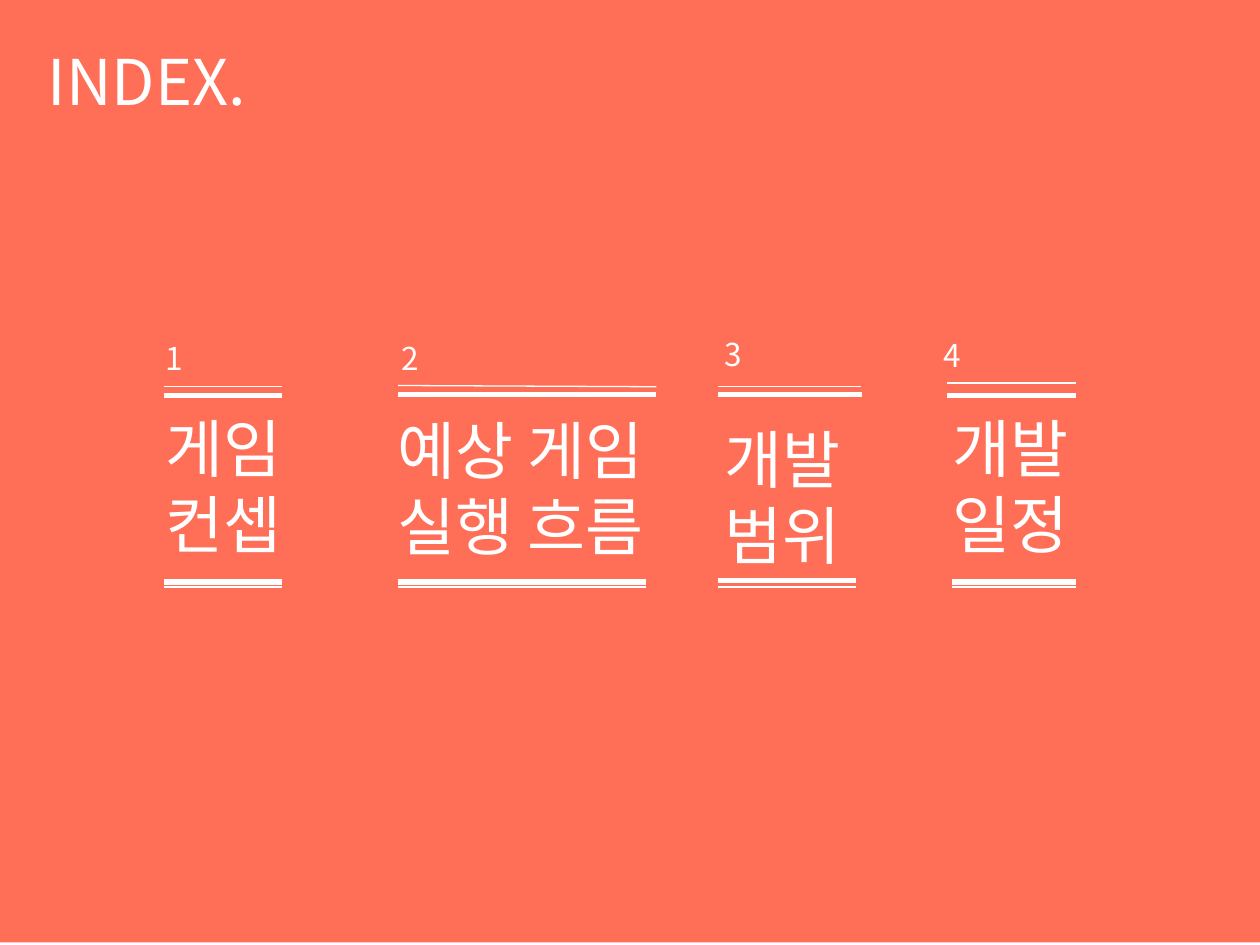
from lxml import etree
from pptx import Presentation
from pptx.dml.color import RGBColor
from pptx.enum.shapes import MSO_CONNECTOR, MSO_SHAPE
from pptx.enum.text import MSO_ANCHOR, MSO_AUTO_SIZE, PP_ALIGN
from pptx.oxml.ns import qn
from pptx.util import Pt

RECT = MSO_SHAPE.RECTANGLE
LINE = MSO_CONNECTOR.STRAIGHT
CORAL = RGBColor(0xFF, 0x6E, 0x57)
WHITE = RGBColor(0xFF, 0xFF, 0xFF)
FACE = "Noto Sans CJK KR"
FRAME = {"word_wrap": True, "auto_size": MSO_AUTO_SIZE.SHAPE_TO_FIT_TEXT,
         "vertical_anchor": MSO_ANCHOR.TOP}
THIN, THICK = 0.75, 3

ITEMS = [
    {"text": "게임\n컨셉", "box": (93.6, 188, 67.7, 147.5),
     "num": (-5.8, 2.1), "body": (-5.8, 42.4, 90.7),
     "rules": [(0, 33, 67.7, 33, THIN), (0, 38.1, 67.7, 38.1, THICK),
               (0, 144.6, 67.7, 144.6, THICK)]},
    {"text": "예상 게임 실행 흐름", "box": (227.5, 188, 141.9, 147.5),
     "num": (-5, 2.1), "body": (-7.2, 43.8, 167),
     "rules": [(0, 32.3, 147.6, 33, THIN), (0, 37.4, 147.6, 37.4, THICK),
               (0, 144.6, 141.9, 144.6, THICK)]},
    {"text": "개발\n범위", "box": (410.4, 188, 78.5, 147.5),
     "num": (-3.6, 0), "body": (-3.6, 48.9, 87.8),
     "rules": [(0, 33, 81.4, 33, THIN), (0, 37.4, 82.1, 37.4, THICK),
               (0, 143.9, 78.5, 143.9, THICK)]},
    {"text": "개발\n일정", "box": (544.3, 188, 70.6, 147.5),
     "num": (-12.2, 0.6), "body": (-7.2, 42.4, 90.7),
     "rules": [(-2.9, 30.9, 70.6, 30.9, THIN),
               (-2.9, 38.1, 70.6, 38.1, THICK),
               (0, 144.6, 70.6, 144.6, THICK)]},
]


def place(shape, box):
    for name, size in zip(("left", "top", "width", "height"), box):
        setattr(shape, name, Pt(size))


def write(shape, text, size, box):
    frame = shape.text_frame
    frame.text = text
    for name, value in FRAME.items():
        setattr(frame, name, value)
    place(shape, box)
    for para in frame.paragraphs:
        para.alignment = PP_ALIGN.LEFT
        for run in para.runs:
            for name, value in {"name": FACE, "size": Pt(size)}.items():
                setattr(run.font, name, value)
            run.font.color.rgb = WHITE
            props = run.font._element
            etree.SubElement(props, qn("a:ea")).set("typeface", FACE)


def label(slide, text, size, box):
    write(slide.shapes.add_textbox(0, 0, 0, 0), text, size, box)


def rule(slide, x1, y1, x2, y2, width):
    line = slide.shapes.add_connector(LINE, Pt(x1), Pt(y1), Pt(x2), Pt(y2))
    line.line.color.rgb = WHITE
    line.line.width = Pt(width)
    etree.SubElement(line.element.spPr, qn("a:effectLst"))


def ground(slide, box):
    back = slide.shapes.add_shape(RECT, 0, 0, 0, 0)
    place(back, box)
    back.shadow.inherit = False
    back.fill.solid()
    back.fill.fore_color.rgb = CORAL
    back.line.fill.background()
    slide.shapes.element.insert(2, back.element)


def entry(slide, count, item):
    left, top, width, height = item["box"]
    x, y = item["num"]
    label(slide, str(count), 18, (left + x, top + y, 90.7, 28.8))
    x, y, wide = item["body"]
    label(slide, item["text"], 36, (left + x, top + y, wide, 94.3))
    base = (0, height, width, height, THIN)
    for x1, y1, x2, y2, weight in item["rules"] + [base]:
        rule(slide, left + x1, top + y1, left + x2, top + y2, weight)


def main():
    deck = Presentation()
    deck.slide_width, deck.slide_height = Pt(720), Pt(540)
    slide = deck.slides.add_slide(deck.slide_layouts[5])
    ground(slide, (0, -1.44, 720, 540))
    write(slide.shapes.title, "INDEX.", 36, (20.2, 20.9, 244, 51))
    for count, item in enumerate(ITEMS, 1):
        entry(slide, count, item)
    deck.save("out.pptx")


if __name__ == "__main__":
    main()
